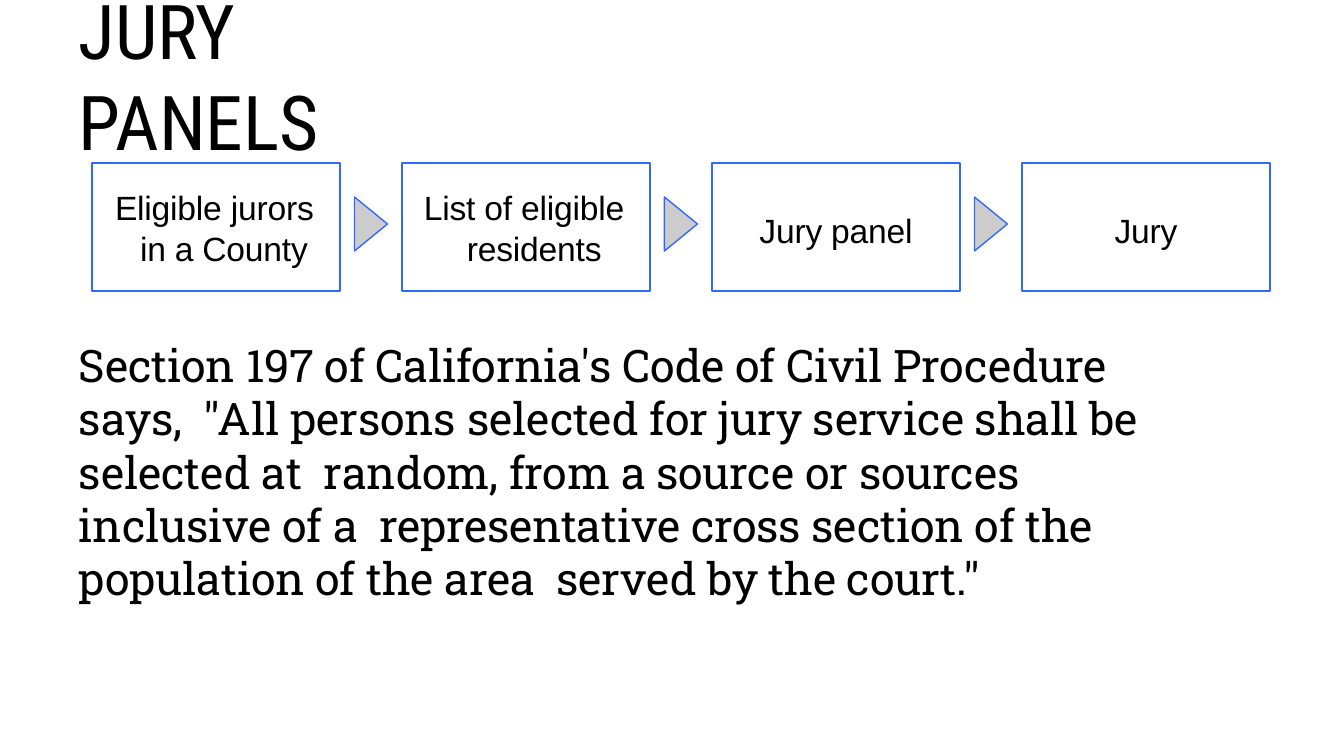
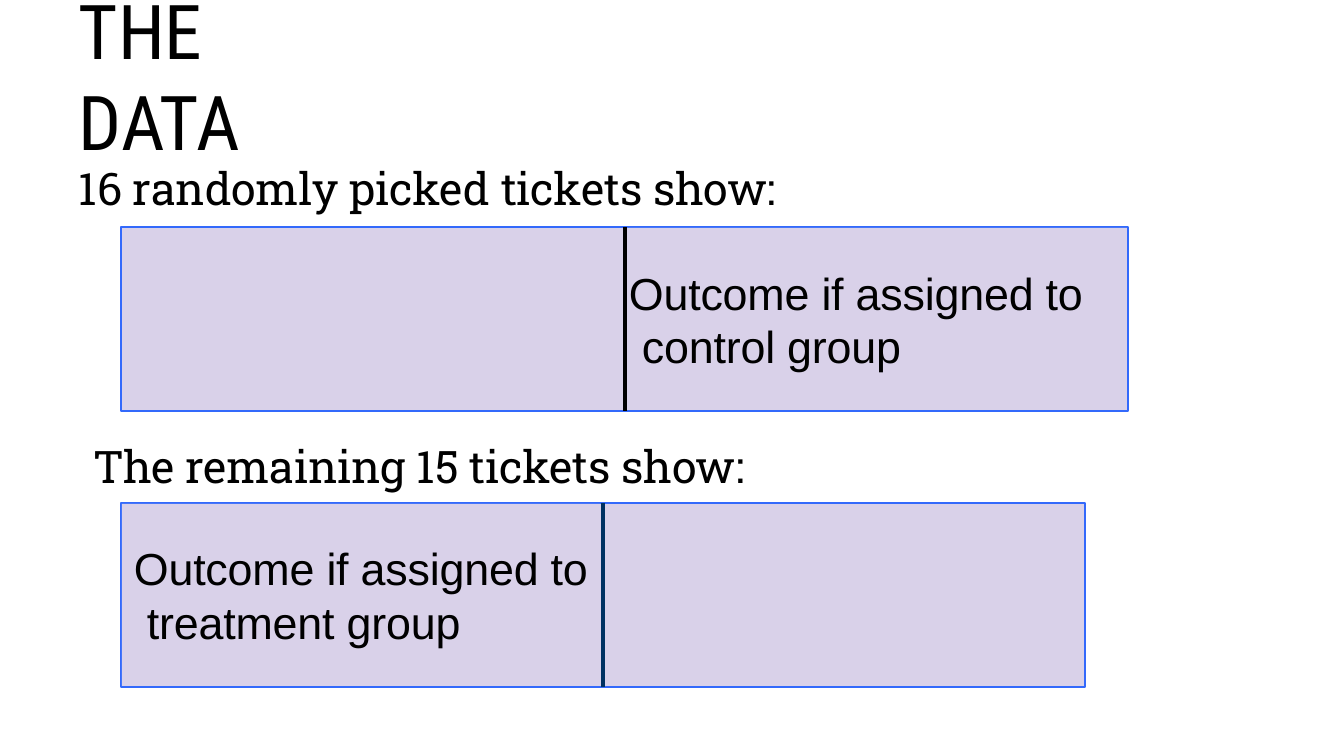
from dataclasses import dataclass

import pptx
import pptx.dml.color
import pptx.enum.shapes
import pptx.enum.text
import pptx.oxml.ns
import pptx.util
from lxml import etree

ALIGN = pptx.enum.text.PP_ALIGN
ANCHOR = pptx.enum.text.MSO_ANCHOR

# Content

PANELS = "JURY PANELS"
# text, first-line indent and hanging indent; None means centred
STEPS = [
    ("Eligible jurors in a County", (23, 48)),
    ("List of eligible residents", (22, 65)),
    ("Jury panel", None),
    ("Jury", None),
]
LAW = (
    "Section 197 of California's Code of Civil Procedure says,  "
    "\"All persons selected for jury service shall be selected at  random, "
    "from a source or sources inclusive of a  representative cross section "
    "of the population of the area  served by the court.\""
)

DATA = "THE DATA"
TICKETS = [
    {
        "head": "16 randomly picked tickets show:", "left": 78, "top": 159,
        "frame": (121, 227, 1007, 184), "split": 625, "ink": "black",
        "text": "Outcome if assigned to control group",
        "cell": (626, 501), "dent": (3, 16),
    },
    {
        "head": "The remaining 15 tickets show:", "left": 92, "top": 437,
        "frame": (121, 503, 964, 184), "split": 603, "ink": "navy",
        "text": "Outcome if assigned to treatment group",
        "cell": (122, 478), "dent": (12, 25),
    },
]


# Theme

@dataclass(frozen=True)
class Theme:
    black: str = "000000"
    navy: str = "003162"
    blue: str = "3369FB"
    lilac: str = "D9D1E9"
    gray: str = "CCCCCC"
    title: tuple = ("Roboto Condensed", 40.5)
    body: tuple = ("Roboto Slab", 24)
    step: tuple = ("Arial", 18)
    ticket: tuple = ("Arial", 24)
    thin: float = 0.75
    edge: float = 1.5
    bold: float = 2.25


THEME = Theme()
SCALE = 914400 / 134.4
WIDE, HIGH = 1344, 756
BOX_W, BOX_H, BOX_X, BOX_Y = 248, 128, 92, 163
PITCH = 310
TIP_W, TIP_H, TIP_Y = 33, 54, 197


def px(num):
    return pptx.util.Emu(round(num * SCALE))


def rgb(code):
    return pptx.dml.color.RGBColor.from_string(code)


def write(shape, text, style, anchor=ANCHOR.TOP, inset=0, dent=(1, 1),
          align=ALIGN.LEFT, pitch=None):
    """Set one styled paragraph; dent holds first-line and later indents."""
    frame = shape.text_frame
    frame.text = text
    frame.word_wrap = True
    frame.auto_size = pptx.enum.text.MSO_AUTO_SIZE.NONE
    frame.vertical_anchor = anchor
    frame.margin_left = frame.margin_right = frame.margin_bottom = 0
    frame.margin_top = px(inset)
    para = frame.paragraphs[0]
    para.alignment = align
    para.space_before = pptx.util.Pt(0)
    if pitch:
        para.line_spacing = pitch
    first, rest = dent
    props = para._p.get_or_add_pPr()
    props.set("marL", str(px(rest)))
    props.set("indent", str(px(first - rest)))
    for run in para.runs:
        run.font.name, size = style
        run.font.size = pptx.util.Pt(size)
        run.font.bold = False
        run.font.color.rgb = rgb(THEME.black)
        run._r.get_or_add_rPr().set("spc", "-10")


def paint(shape, fill=None, line=None, width=THEME.thin):
    shape.shadow.inherit = False
    if fill:
        shape.fill.solid()
        shape.fill.fore_color.rgb = rgb(fill)
    else:
        shape.fill.background()
    if line:
        shape.line.color.rgb = rgb(line)
        shape.line.width = pptx.util.Pt(width)
    else:
        shape.line.fill.background()


def rect(slide, left, top, wide, high, **look):
    kind = pptx.enum.shapes.MSO_SHAPE.RECTANGLE
    shape = slide.shapes.add_shape(kind, px(left), px(top), px(wide), px(high))
    paint(shape, **look)
    return shape


def label(slide, text, left, top, wide, high, **look):
    box = slide.shapes.add_textbox(px(left), px(top), px(wide), px(high))
    write(box, text, THEME.body, **look)


def tip(slide, left):
    """Draw a triangle that points to the next step."""
    path = slide.shapes.build_freeform(px(left), px(TIP_Y), scale=1.0)
    path.add_line_segments([
        (px(left + TIP_W), px(TIP_Y + TIP_H / 2)),
        (px(left), px(TIP_Y + TIP_H)),
    ], close=True)
    paint(path.convert_to_shape(), fill=THEME.gray, line=THEME.blue)


def rule(slide, left, top, high, color):
    kind = pptx.enum.shapes.MSO_CONNECTOR.STRAIGHT
    line = slide.shapes.add_connector(
        kind, px(left), px(top), px(left), px(top + high))
    line.line.color.rgb = rgb(color)
    line.line.width = pptx.util.Pt(THEME.bold)
    etree.SubElement(line._element.spPr, pptx.oxml.ns.qn("a:effectLst"))


def start(deck, text, wide):
    """Add a slide whose title wraps within the given width."""
    slide = deck.slides.add_slide(deck.slide_layouts[5])
    head = slide.shapes.title
    head.left, head.top, head.width, head.height = map(px, (78, 27, wide, 94))
    write(head, text, THEME.title, ANCHOR.MIDDLE, inset=1)
    return slide


def panels(deck):
    slide = start(deck, PANELS, 380)
    label(slide, LAW, 78, 337, 1130, 272, inset=3, pitch=0.99)
    for num, (text, dent) in enumerate(STEPS):
        left = BOX_X + num * PITCH
        box = rect(slide, left, BOX_Y, BOX_W, BOX_H,
                   line=THEME.blue, width=THEME.edge)
        if dent:
            write(box, text, THEME.step, ANCHOR.MIDDLE, dent=dent, pitch=1.01)
        else:
            write(box, text, THEME.step, ANCHOR.MIDDLE, inset=6, dent=(0, 0),
                  align=ALIGN.CENTER)
        if num:
            tip(slide, left - (PITCH - BOX_W + TIP_W) / 2)


def tickets(deck):
    slide = start(deck, DATA, 286)
    for item in TICKETS:
        label(slide, item["head"], item["left"], item["top"], 793, 56, inset=2)
        left, top, wide, high = item["frame"]
        rect(slide, left, top, wide, high, fill=THEME.lilac, line=THEME.blue)
        cell, span = item["cell"]
        box = rect(slide, cell, top + 1, span, high - 2, fill=THEME.lilac)
        write(box, item["text"], THEME.ticket, ANCHOR.MIDDLE,
              dent=item["dent"], pitch=pptx.util.Pt(28.5))
        rule(slide, item["split"], top, high, getattr(THEME, item["ink"]))


def main():
    deck = pptx.Presentation()
    deck.slide_width, deck.slide_height = px(WIDE), px(HIGH)
    panels(deck)
    tickets(deck)
    deck.save("out.pptx")


if __name__ == "__main__":
    main()
